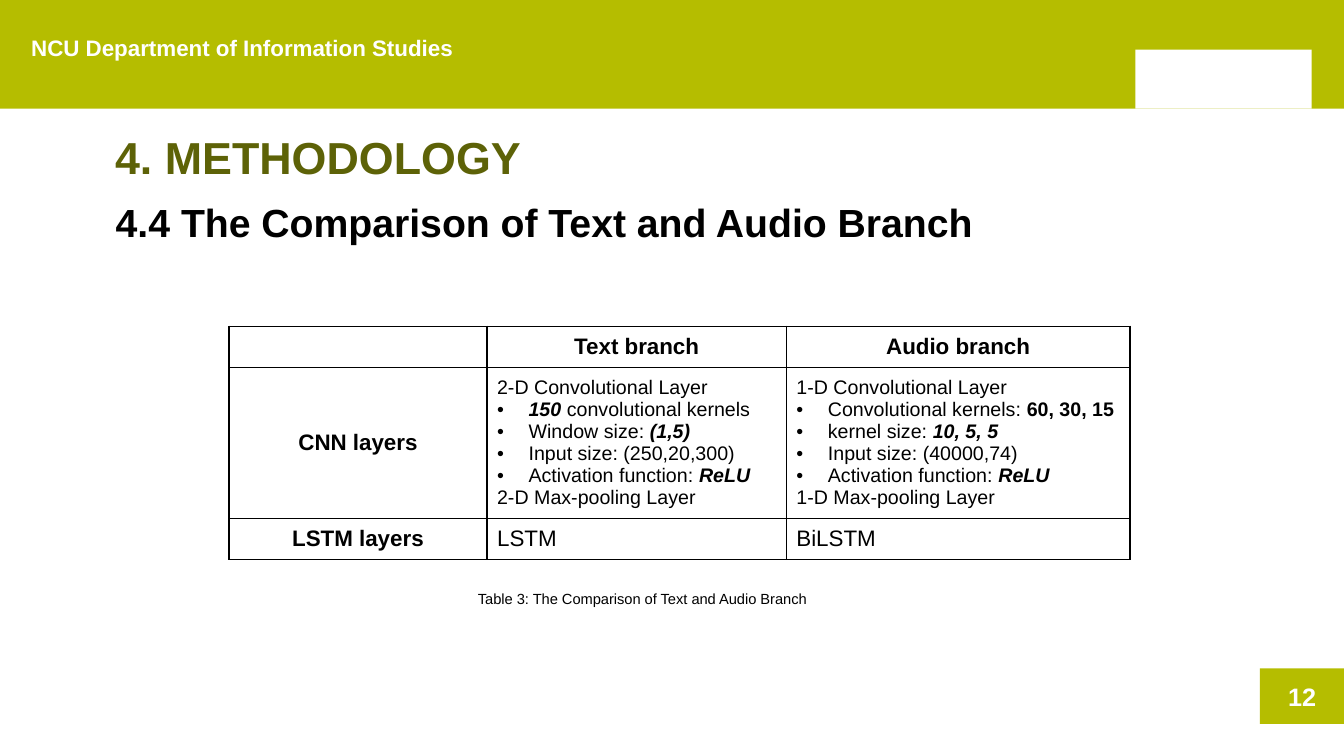
from lxml.etree import SubElement
from pptx import Presentation
from pptx.dml.color import RGBColor
from pptx.enum.shapes import MSO_SHAPE
from pptx.enum.text import MSO_ANCHOR, MSO_AUTO_SIZE, PP_ALIGN
from pptx.oxml import parse_xml
from pptx.oxml.ns import nsdecls, qn
from pptx.util import Pt

LIME = RGBColor(0xB5, 0xBD, 0x00)
OLIVE = RGBColor(0x5D, 0x62, 0x07)
BLACK = RGBColor(0, 0, 0)
WHITE = RGBColor(0xFF, 0xFF, 0xFF)
FONT = "Arial"
SLIDE_W, SLIDE_H = 960, 540

DEPARTMENT = "NCU Department of Information Studies"
PAGE = "12"
TITLE = "4. METHODOLOGY"
SUBTITLE = "4.4 The Comparison of Text and Audio Branch"
CAPTION = "Table 3: The Comparison of Text and Audio Branch"
HEADINGS = ["", "Text branch", "Audio branch"]
TEXT_CNN = (
    "2-D Convolutional Layer",
    [
        [("150", "bi"), (" convolutional kernels", "")],
        [("Window size: ", ""), ("(1,5)", "bi")],
        [("Input size: (250,20,300)", "")],
        [("Activation function: ", ""), ("ReLU", "bi")],
    ],
    "2-D Max-pooling Layer",
)
AUDIO_CNN = (
    "1-D Convolutional Layer",
    [
        [("Convolutional kernels: ", ""), ("60, 30, 15", "b")],
        [("kernel size: ", ""), ("10, 5, 5", "bi")],
        [("Input size: (40000,74)", "")],
        [("Activation function: ", ""), ("ReLU", "bi")],
    ],
    "1-D Max-pooling Layer",
)
LSTM_ROW = ["LSTM layers", "LSTM", "BiLSTM"]
COL_WIDTHS = [184.3, 213.8, 245.5]
ROW_HEIGHTS = [29.3, 107.9, 29.3]
TABLE_LEFT, TABLE_TOP = 163.6, 233
BULLET_INDENT = 22.5


def add_run(p, text, size, color=BLACK, style=""):
    r = p.add_run()
    r.text = text
    r.font.name = FONT
    r.font.size = Pt(size)
    r.font.color.rgb = color
    r.font.bold = "b" in style
    r.font.italic = "i" in style


def add_line(tf, box, text, size, color=BLACK, style="", align=PP_ALIGN.LEFT):
    tf.word_wrap = True
    tf.auto_size = MSO_AUTO_SIZE.NONE
    tf.vertical_anchor = MSO_ANCHOR.TOP
    p = tf.paragraphs[0]
    p.alignment = align
    add_run(p, text, size, color, style)
    return p


def add_text(slide, box, *args, **kwargs):
    sp = slide.shapes.add_textbox(*map(Pt, box))
    return sp.text_frame, add_line(sp.text_frame, box, *args, **kwargs)


def add_block(slide, box, color):
    sp = slide.shapes.add_shape(MSO_SHAPE.RECTANGLE, *map(Pt, box))
    sp.shadow.inherit = False
    sp.fill.solid()
    sp.fill.fore_color.rgb = color
    sp.line.fill.background()
    return sp


def set_borders(cell):
    tcPr = cell._tc.get_or_add_tcPr()
    for i, side in enumerate("LRTB"):
        tcPr.insert(i, parse_xml(
            f'<a:ln{side} {nsdecls("a")} w="12700"><a:solidFill>'
            f'<a:srgbClr val="{BLACK}"/></a:solidFill></a:ln{side}>'))


def fill_cell(cell, text, style="", align=PP_ALIGN.LEFT):
    p = cell.text_frame.paragraphs[0]
    p.alignment = align
    add_run(p, text, 16, style=style)


def fill_layers(cell, layers):
    first, bullets, last = layers
    tf = cell.text_frame
    add_run(tf.paragraphs[0], first, 14)
    for runs in bullets:
        p = tf.add_paragraph()
        pPr = p._p.get_or_add_pPr()
        pPr.set("marL", str(Pt(BULLET_INDENT)))
        pPr.set("indent", str(-Pt(BULLET_INDENT)))
        SubElement(pPr, qn("a:buFont")).set("typeface", FONT)
        SubElement(pPr, qn("a:buChar")).set("char", "•")
        for text, style in runs:
            add_run(p, text, 14, style=style)
    add_run(tf.add_paragraph(), last, 14)


def add_comparison(slide):
    frame = slide.shapes.add_table(
        len(ROW_HEIGHTS), len(COL_WIDTHS), Pt(TABLE_LEFT), Pt(TABLE_TOP),
        Pt(sum(COL_WIDTHS)), Pt(sum(ROW_HEIGHTS)))
    table = frame.table
    table.first_row = table.horz_banding = False
    for col, width in zip(table.columns, COL_WIDTHS):
        col.width = Pt(width)
    for row, height in zip(table.rows, ROW_HEIGHTS):
        row.height = Pt(height)
    for cell in table.iter_cells():
        cell.fill.background()
        cell.vertical_anchor = MSO_ANCHOR.MIDDLE
        set_borders(cell)
    for c, heading in enumerate(HEADINGS):
        if heading:
            fill_cell(table.cell(0, c), heading, "b", PP_ALIGN.CENTER)
    fill_cell(table.cell(1, 0), "CNN layers", "b", PP_ALIGN.CENTER)
    for c, layers in enumerate([TEXT_CNN, AUDIO_CNN], 1):
        fill_layers(table.cell(1, c), layers)
    label, *names = LSTM_ROW
    fill_cell(table.cell(2, 0), label, "b", PP_ALIGN.CENTER)
    for c, name in enumerate(names, 1):
        fill_cell(table.cell(2, c), name)


def main():
    prs = Presentation()
    prs.slide_width, prs.slide_height = Pt(SLIDE_W), Pt(SLIDE_H)
    s = prs.slides.add_slide(prs.slide_layouts[5])

    add_block(s, (0, 0, SLIDE_W, 77.6), LIME)
    add_block(s, (811, 35.5, 126, 42.1), WHITE)
    tf, p = add_text(s, (22.3, 28, 576, 31), DEPARTMENT, 16, WHITE, "b")
    tf.margin_left = tf.margin_top = tf.margin_right = tf.margin_bottom = 0
    p.line_spacing = 0.8

    page = add_block(s, (900, 477.4, 60, 39.6), LIME)
    tf = page.text_frame
    tf.vertical_anchor = MSO_ANCHOR.MIDDLE
    tf.paragraphs[0].alignment = PP_ALIGN.CENTER
    add_run(tf.paragraphs[0], PAGE, 18, WHITE, "b")

    title = s.shapes.title
    box = (75, 93.6, 828, 104.4)
    title.left, title.top, title.width, title.height = map(Pt, box)
    p = add_line(title.text_frame, box, TITLE, 32, OLIVE, "b")
    p.line_spacing = 0.9

    add_text(s, (75.6, 138.2, 772.6, 74.9), SUBTITLE, 28, style="b")
    add_text(s, (313.9, 417.6, 290.2, 20.2), CAPTION, 10.5, align=PP_ALIGN.CENTER)
    add_comparison(s)
    prs.save("out.pptx")


if __name__ == "__main__":
    main()
